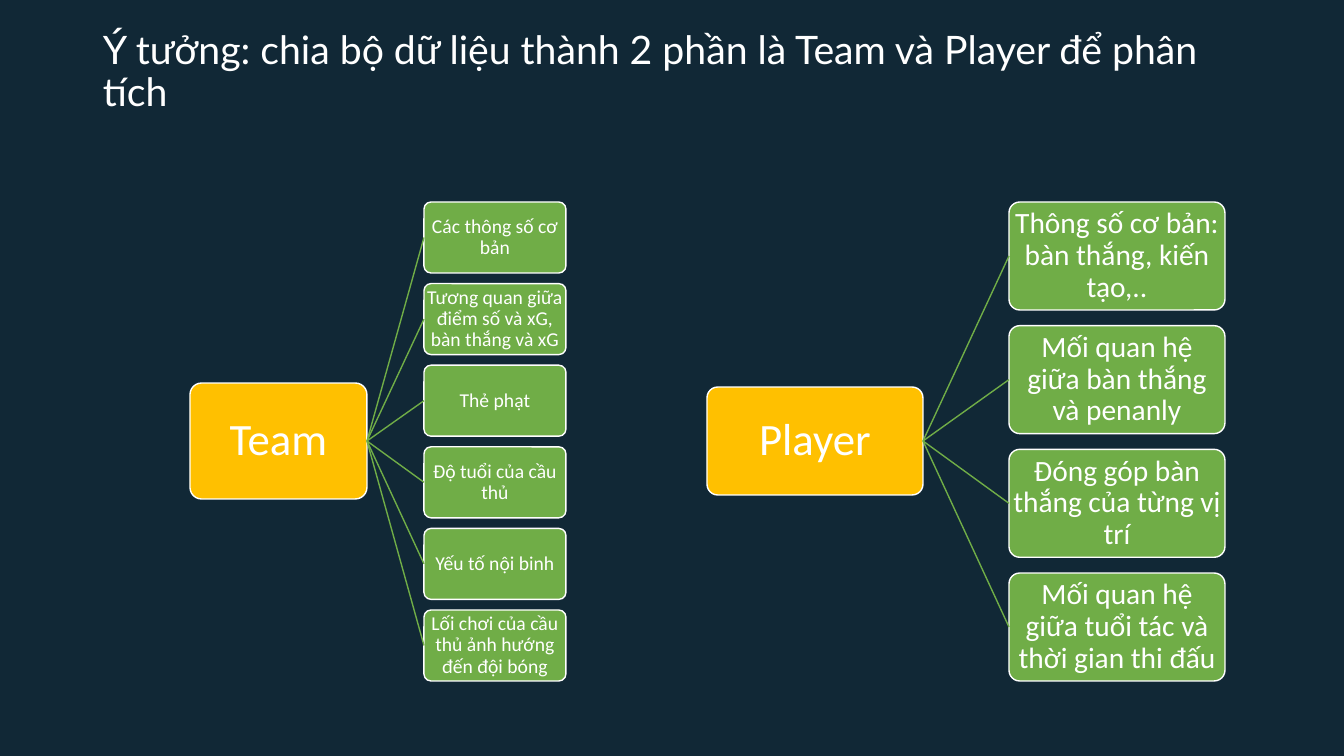
import pptx
import pptx.dml.color
import pptx.enum.shapes
import pptx.enum.text
import pptx.oxml.ns
import pptx.util
from lxml import etree

RGBColor = pptx.dml.color.RGBColor
NAVY = RGBColor(0x11, 0x28, 0x36)
GOLD = RGBColor(0xFF, 0xC0, 0x00)
GREEN = RGBColor(0x70, 0xAD, 0x47)
WHITE = RGBColor(0xFF, 0xFF, 0xFF)

EMU_PER_PX = 914400 / 100.8
LEFT_SITE, RIGHT_SITE = 1, 3
LEAF_TOP, LEAF_BOTTOM = 202, 681


def px(length):
    return pptx.util.Emu(round(length * EMU_PER_PX))


class SlideBuilder:
    title_font = "Lato"
    body_font = "Calibri"
    line_width = pptx.util.Pt(1)

    def __init__(self, deck):
        self.slide = deck.slides.add_slide(deck.slide_layouts[6])
        fill = self.slide.background.fill
        fill.solid()
        fill.fore_color.rgb = NAVY

    def set_text(self, shape, text, size, font, align):
        frame = shape.text_frame
        frame.word_wrap = True
        frame.vertical_anchor = pptx.enum.text.MSO_ANCHOR.MIDDLE
        frame.text = text
        para = frame.paragraphs[0]
        para.alignment = align
        para.line_spacing = 0.9
        for span in para.runs:
            span.font.name = font
            span.font.size = pptx.util.Pt(size)
            span.font.color.rgb = WHITE

    def title(self, text, left, top, width, height):
        box = self.slide.shapes.add_textbox(px(left), px(top), px(width), px(height))
        self.set_text(box, text, 28, self.title_font, pptx.enum.text.PP_ALIGN.LEFT)

    def node(self, text, left, top, width, height, color, size, inset):
        box = self.slide.shapes.add_shape(
            pptx.enum.shapes.MSO_SHAPE.ROUNDED_RECTANGLE,
            px(left), px(top), px(width), px(height))
        box.adjustments[0] = 0.1
        box.shadow.inherit = False
        box.fill.solid()
        box.fill.fore_color.rgb = color
        box.line.color.rgb = WHITE
        box.line.width = self.line_width
        frame = box.text_frame
        frame.margin_left = frame.margin_right = px(inset)
        frame.margin_top = frame.margin_bottom = px(inset)
        self.set_text(box, text, size, self.body_font, pptx.enum.text.PP_ALIGN.CENTER)
        return box

    def branch(self, root, leaf):
        line = self.slide.shapes.add_connector(
            pptx.enum.shapes.MSO_CONNECTOR.STRAIGHT, 0, 0, 0, 0)
        line.begin_connect(root, RIGHT_SITE)
        line.end_connect(leaf, LEFT_SITE)
        line.line.color.rgb = GREEN
        line.line.width = self.line_width
        etree.SubElement(line._element.spPr, pptx.oxml.ns.qn("a:effectLst"))

    def tree(self, name, root_area, leaves, leaf_left, leaf_size, text_size):
        """Draw a root node joined to an evenly spaced column of leaves."""
        root = self.node(name, *root_area, GOLD, 32, 2)
        width, height = leaf_size
        step = (LEAF_BOTTOM - LEAF_TOP - height) / (len(leaves) - 1)
        for index, text in enumerate(leaves):
            leaf = self.node(text, leaf_left, LEAF_TOP + index * step,
                             width, height, GREEN, text_size, 1)
            self.branch(root, leaf)


def main():
    deck = pptx.Presentation()
    deck.slide_width, deck.slide_height = px(1344), px(756)
    page = SlideBuilder(deck)
    page.title("Ý tưởng: chia bộ dữ liệu thành 2 phần là Team và Player để phân tích",
               93, 40, 1159, 65)
    page.tree("Player", (707, 387, 216, 108), [
        "Thông số cơ bản: bàn thắng, kiến tạo,..",
        "Mối quan hệ giữa bàn thắng và penanly",
        "Đóng góp bàn thắng của từng vị trí",
        "Mối quan hệ giữa tuổi tác và thời gian thi đấu",
    ], 1009, (216, 108), 21)
    page.tree("Team", (190, 383, 177, 116), [
        "Các thông số cơ bản",
        "Tương quan giữa điểm số và xG, bàn thắng và xG",
        "Thẻ phạt",
        "Độ tuổi của cầu thủ",
        "Yếu tố nội binh",
        "Lối chơi của cầu thủ ảnh hướng đến đội bóng",
    ], 424, (142, 71), 14)
    deck.save("out.pptx")


if __name__ == "__main__":
    main()
